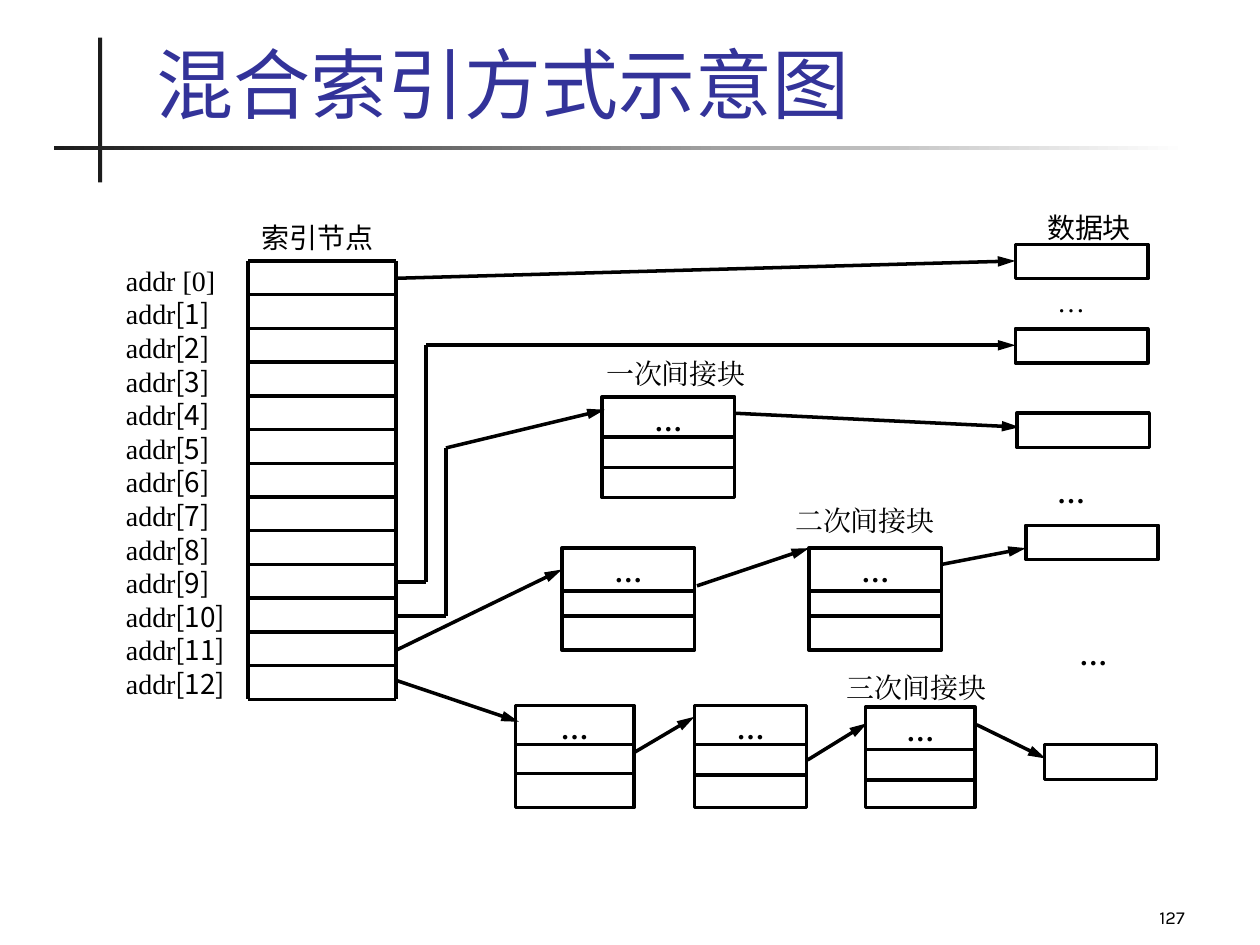
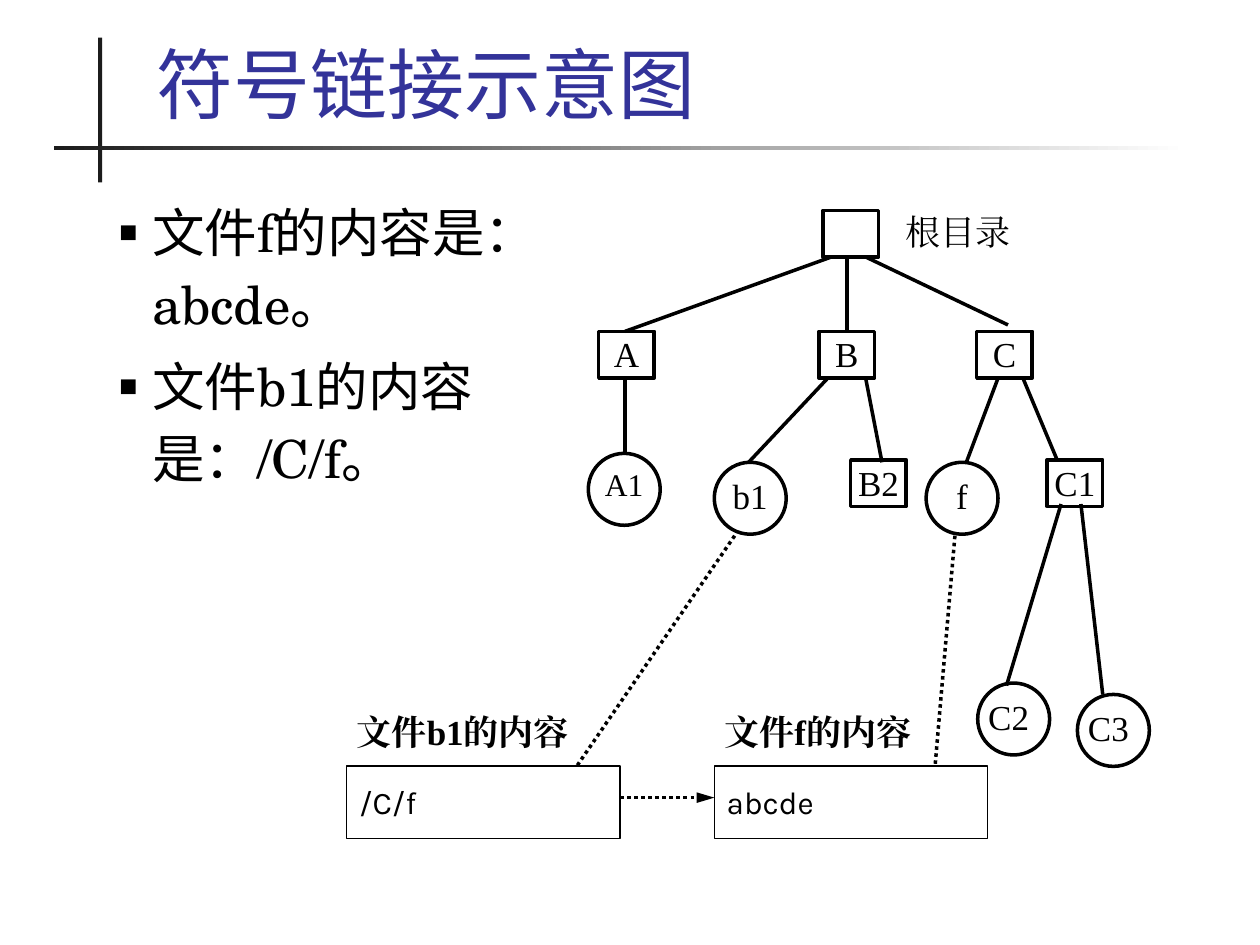
from itertools import pairwise

from lxml.etree import SubElement
from pptx import Presentation
from pptx.dml.color import RGBColor
from pptx.enum.dml import MSO_LINE
from pptx.enum.shapes import MSO_CONNECTOR, MSO_SHAPE
from pptx.enum.text import MSO_ANCHOR, PP_ALIGN
from pptx.oxml.ns import qn
from pptx.util import Cm, Pt

COLORS = {"title": "333399", "rule": "1C1C1C", "ink": "000000", "paper": "FFFFFF"}
SERIF, SANS = "Times New Roman", "Noto Sans CJK SC"
SCHOOL, KARLA = "TeX Gyre Schola", "Karla"
INSET = (0.25, 0.13, 0.25, 0.13)
NO_INSET = (0, 0, 0, 0)


def rgb(name):
    return RGBColor.from_string(COLORS[name])


def add_run(p, text, size, font=SERIF, bold=False, color="ink"):
    r = p.add_run()
    r.text = text
    r.font.size = Pt(size)
    r.font.name = font
    r.font.bold = bold
    r.font.color.rgb = rgb(color)
    SubElement(r._r.get_or_add_rPr(), qn("a:ea"), typeface=font)


def set_frame(tf, inset=NO_INSET, anchor=MSO_ANCHOR.TOP, wrap=True):
    tf.margin_left, tf.margin_top, tf.margin_right, tf.margin_bottom = map(Cm, inset)
    tf.vertical_anchor = anchor
    tf.word_wrap = wrap


def add_text(s, box, text, size=16, font=SERIF, bold=False, inset=NO_INSET,
             anchor=MSO_ANCHOR.TOP, align=PP_ALIGN.LEFT):
    tf = s.shapes.add_textbox(*map(Cm, box)).text_frame
    set_frame(tf, inset, anchor)
    p = tf.paragraphs[0]
    p.alignment = align
    add_run(p, text, size, font, bold)


def add_box(s, box, shape=MSO_SHAPE.RECTANGLE, fill="paper", width=2):
    sp = s.shapes.add_shape(shape, *map(Cm, box))
    sp.shadow.inherit = False
    if fill:
        sp.fill.solid()
        sp.fill.fore_color.rgb = rgb(fill)
    else:
        sp.fill.background()
    if width:
        sp.line.color.rgb = rgb("ink")
        sp.line.width = Pt(width)
    else:
        sp.line.fill.background()
    return sp


def add_line(s, x1, y1, x2, y2, arrow=False, dotted=False):
    ln = s.shapes.add_connector(MSO_CONNECTOR.STRAIGHT, *map(Cm, (x1, y1, x2, y2)))
    ln.line.color.rgb = rgb("ink")
    ln.line.width = Pt(2)
    if dotted:
        ln.line.dash_style = MSO_LINE.ROUND_DOT
    if arrow:
        SubElement(ln.line._get_or_add_ln(), qn("a:tailEnd"),
                   type="triangle", w="med", len="lg")
    SubElement(ln._element.spPr, qn("a:effectLst"))


def add_pointer(s, *points):
    segments = list(pairwise(points))
    for i, (start, end) in enumerate(segments, 1):
        add_line(s, *start, *end, arrow=i == len(segments))


def add_titled_slide(prs, title):
    s = prs.slides.add_slide(prs.slide_layouts[5])
    add_box(s, (1.98, 0.76, 0.08, 2.92), fill="rule", width=0)
    rule = add_box(s, (1.09, 2.95, 22.86, 0.08), width=0)
    rule.fill.gradient()
    rule.fill.gradient_angle = 0
    for stop, name in zip(rule.fill.gradient_stops, ("rule", "paper")):
        stop.color.rgb = rgb(name)
    sp = s.shapes.title
    sp.left, sp.top, sp.width, sp.height = map(Cm, (2.9, 0.64, 21.82, 2.08))
    set_frame(sp.text_frame, INSET, MSO_ANCHOR.BOTTOM)
    p = sp.text_frame.paragraphs[0]
    p.alignment = PP_ALIGN.LEFT
    add_run(p, title, 44, SCHOOL, color="title")
    return s


def add_index_node(s, left=5, right=7.98, top=5.26, pitch=0.68, rows=13):
    bottom = top + rows * pitch
    for i in range(rows + 1):
        y = top + i * pitch
        add_line(s, left, y, right, y)
    for x in (left, right):
        add_line(s, x, top, x, bottom)
    tf = s.shapes.add_textbox(*map(Cm, (2.54, 5.31, 2.21, 8.99))).text_frame
    set_frame(tf)
    for i in range(rows):
        p = tf.paragraphs[0] if i == 0 else tf.add_paragraph()
        p.line_spacing = Pt(19.2)
        if i == 0:
            add_run(p, "addr [0]", 16)
        else:
            add_run(p, "addr", 16)
            add_run(p, f"[{i}]", 16, SANS)


def add_indirect_block(s, left, top, width, height, dividers):
    sp = add_box(s, (left, top, width, height))
    set_frame(sp.text_frame, INSET)
    p = sp.text_frame.paragraphs[0]
    p.alignment = PP_ALIGN.CENTER
    add_run(p, "…", 16, bold=True)
    for offset in dividers:
        add_line(s, left, top + offset, left + width, top + offset)


def add_node(s, name, left, top, file=False, size=20, align=PP_ALIGN.CENTER):
    if file:
        sp = add_box(s, (left, top, 1.45, 1.45), MSO_SHAPE.OVAL)
    else:
        sp = add_box(s, (left, top, 1.12, 0.94))
    set_frame(sp.text_frame, (0, 0.03, 0, 0))
    p = sp.text_frame.paragraphs[0]
    p.alignment = align
    if name:
        add_run(p, name, size)


def add_file_content(s, left, heading, content):
    sp = add_box(s, (left, 15.44, 5.51, 1.47), fill=None, width=0.75)
    set_frame(sp.text_frame, INSET, MSO_ANCHOR.MIDDLE, wrap=False)
    p = sp.text_frame.paragraphs[0]
    p.alignment = PP_ALIGN.LEFT
    add_run(p, content, 18, KARLA)
    add_text(s, (left + 0.2, 14.33, 5.28, 0.91), heading, 20, bold=True)


def add_bullets(s, box, items):
    tf = s.shapes.add_textbox(*map(Cm, box)).text_frame
    set_frame(tf, INSET)
    for i, item in enumerate(items):
        p = tf.paragraphs[0] if i == 0 else tf.add_paragraph()
        pPr = p._p.get_or_add_pPr()
        pPr.set("marL", str(Cm(0.71)))
        pPr.set("indent", str(Cm(-0.71)))
        SubElement(SubElement(pPr, qn("a:buClr")), qn("a:srgbClr"), val=COLORS["ink"])
        SubElement(pPr, qn("a:buSzPct"), val="60000")
        SubElement(pPr, qn("a:buFont"), typeface=SCHOOL)
        SubElement(pPr, qn("a:buChar"), char="■")
        p.line_spacing = 1.14
        if i:
            p.space_before = Pt(6)
        add_run(p, item, 30, SCHOOL)


def build_mixed_index(prs):
    s = add_titled_slide(prs, "混合索引方式示意图")
    add_index_node(s)
    for left, top in ((20.47, 4.93), (20.47, 6.63), (20.5, 8.33), (20.68, 10.59)):
        add_box(s, (left, top, 2.67, 0.69))
    add_box(s, (21.06, 15.01, 2.26, 0.71))

    for block in (
        (12.14, 8, 2.67, 2.03, (0.81, 1.42)),
        (11.33, 11.05, 2.67, 2.06, (0.86, 1.37)),
        (16.31, 11.05, 2.67, 2.06, (0.86, 1.37)),
        (10.39, 14.22, 2.39, 2.06, (0.79, 1.37)),
        (14, 14.22, 2.26, 2.06, (0.79, 1.4)),
        (17.45, 14.25, 2.21, 2.03, (0.86, 1.47)),
    ):
        add_indirect_block(s, *block)

    for points in (
        ((7.98, 5.61), (20.47, 5.26)),
        ((7.98, 11.73), (8.59, 11.73), (8.59, 6.96), (20.47, 6.96)),
        ((7.98, 12.42), (8.99, 12.42), (8.99, 9.03), (12.19, 8.26)),
        ((14.81, 8.33), (20.55, 8.61)),
        ((7.98, 13.11), (11.33, 11.48)),
        ((14.05, 11.81), (16.31, 11.05)),
        ((18.97, 11.38), (20.68, 11.05)),
        ((8, 13.72), (10.46, 14.55)),
        ((12.8, 15.16), (14, 14.45)),
        ((16.28, 15.32), (17.48, 14.58)),
        ((19.69, 14.61), (21.08, 15.29)),
    ):
        add_pointer(s, *points)

    for text, left, top, width, font in (
        ("索引节点", 5.28, 4.45, 2.46, SANS),
        ("数据块", 21.11, 4.24, 1.75, SANS),
        ("一次间接块", 12.22, 7.19, 3.02, SERIF),
        ("二次间接块", 16.03, 10.16, 3.02, SERIF),
        ("三次间接块", 17.07, 13.51, 3.02, SERIF),
    ):
        add_text(s, (left, top, width, 0.69), text, font=font)
    for left, top, bold in ((21.06, 5.61, False), (21.06, 9.45, True), (21.51, 12.73, True)):
        add_text(s, (left, top, 1.78, 0.69), "…", bold=bold, inset=INSET)
    add_text(s, (18.85, 17.58, 5.28, 1.27), "127", 10.5, KARLA, inset=INSET,
             anchor=MSO_ANCHOR.BOTTOM, align=PP_ALIGN.RIGHT)


def build_symbolic_link(prs):
    s = add_titled_slide(prs, "符号链接示意图")
    add_bullets(s, (2.11, 3.73, 8.36, 8.99),
                ("文件f的内容是：abcde。", "文件b1的内容是：/C/f。"))
    for name, left, top in (
        ("", 16.59, 4.24), ("A", 12.07, 6.68), ("B", 16.51, 6.68),
        ("C", 19.69, 6.68), ("B2", 17.15, 9.27), ("C1", 21.11, 9.27),
    ):
        add_node(s, name, left, top)
    add_text(s, (18.26, 4.24, 2.44, 0.91), "根目录", 20)
    add_node(s, "A1", 11.86, 9.14, file=True, size=18)
    for name, left in (("b1", 14.4), ("f", 18.67)):
        add_node(s, name, left, 9.32, file=True)
    for name, left, top in (("C2", 19.71, 13.77), ("C3", 21.72, 14)):
        add_node(s, name, left, top, file=True, align=PP_ALIGN.LEFT)

    for edge in (
        (16.76, 5.18, 12.6, 6.68), (17.07, 5.18, 17.07, 6.65),
        (17.45, 5.18, 20.32, 6.55), (12.6, 7.62, 12.6, 9.14),
        (16.69, 7.62, 15.09, 9.32), (17.45, 7.62, 17.78, 9.32),
        (20.62, 7.62, 21.31, 9.27), (20.12, 7.62, 19.48, 9.32),
        (21.39, 10.16, 20.29, 13.82), (21.79, 10.16, 22.23, 14),
    ):
        add_line(s, *edge)

    add_file_content(s, 6.99, "文件b1的内容", "/C/f")
    add_file_content(s, 14.4, "文件f的内容", "abcde")
    add_line(s, 14.81, 10.8, 11.63, 15.44, dotted=True)
    add_line(s, 19.25, 10.8, 18.85, 15.44, dotted=True)
    add_line(s, 12.5, 16.08, 14.4, 16.08, arrow=True, dotted=True)


def main():
    prs = Presentation()
    prs.slide_width, prs.slide_height = Cm(25.4), Cm(19.05)
    build_mixed_index(prs)
    build_symbolic_link(prs)
    prs.save("out.pptx")


if __name__ == "__main__":
    main()
